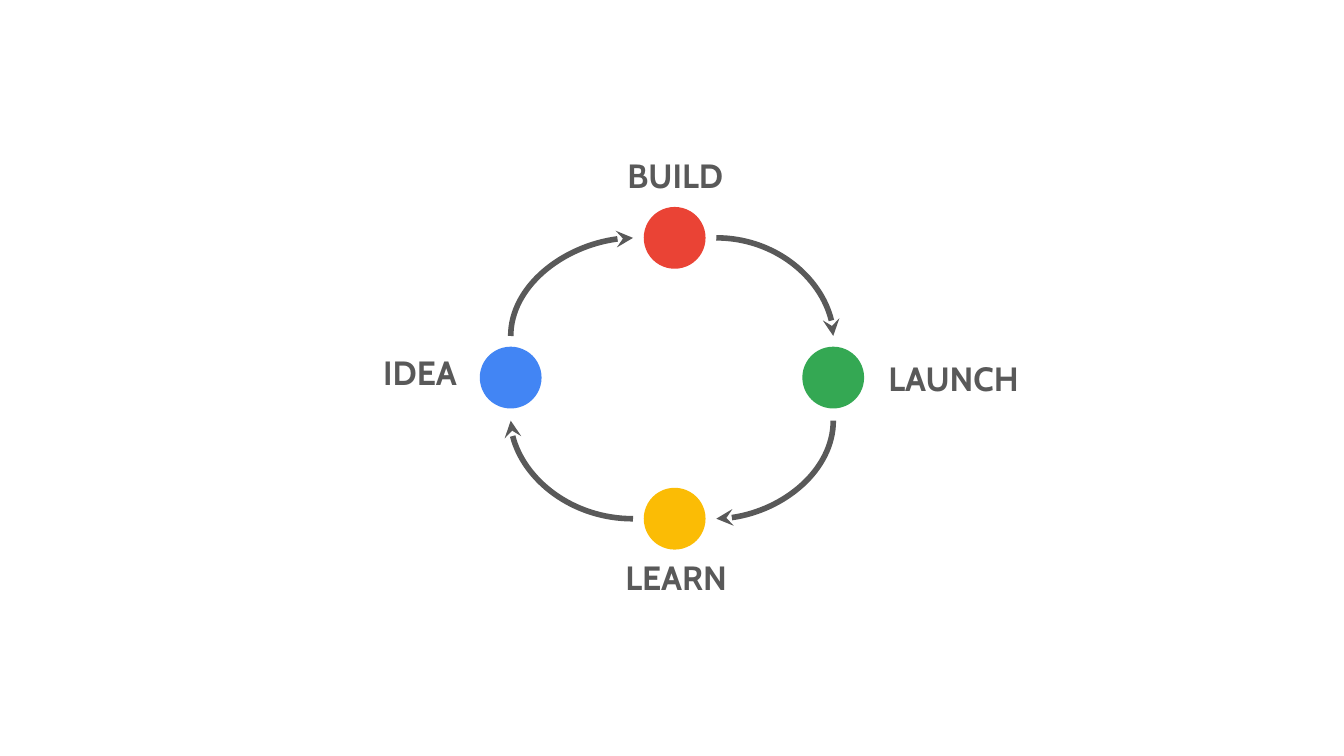
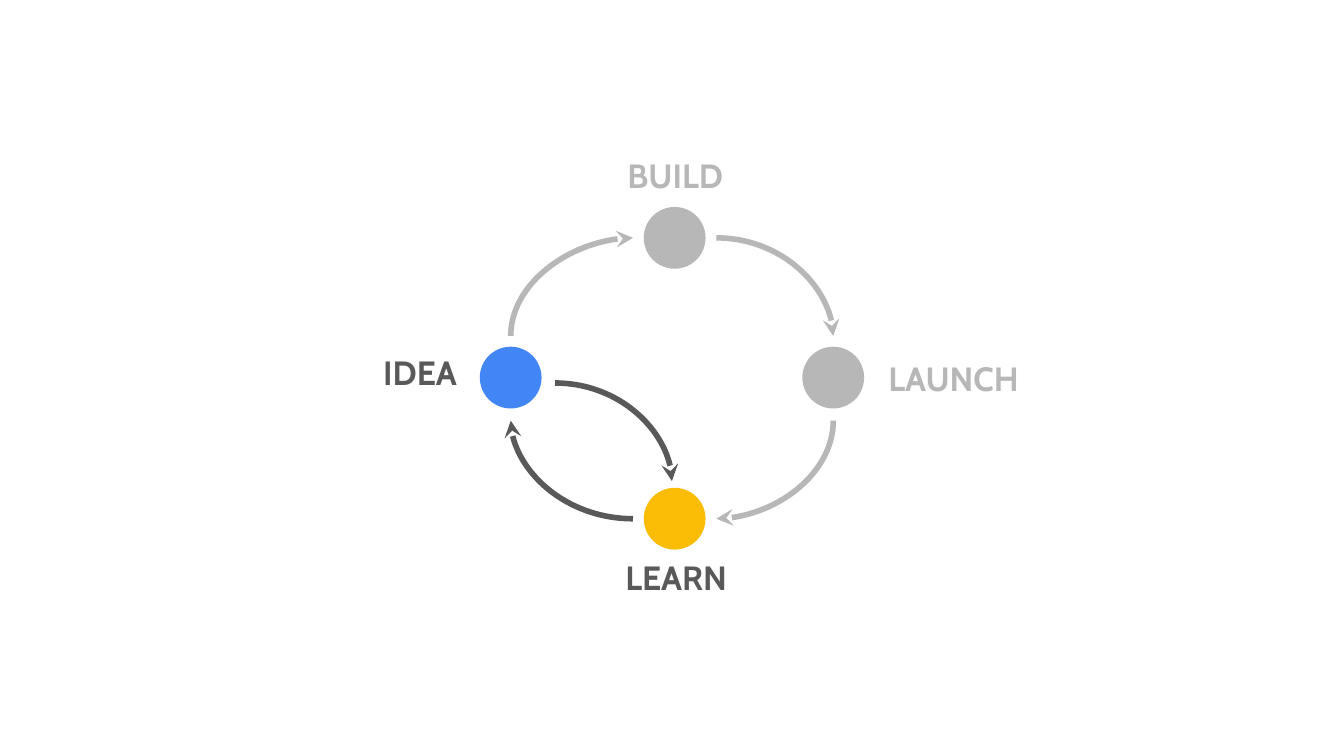
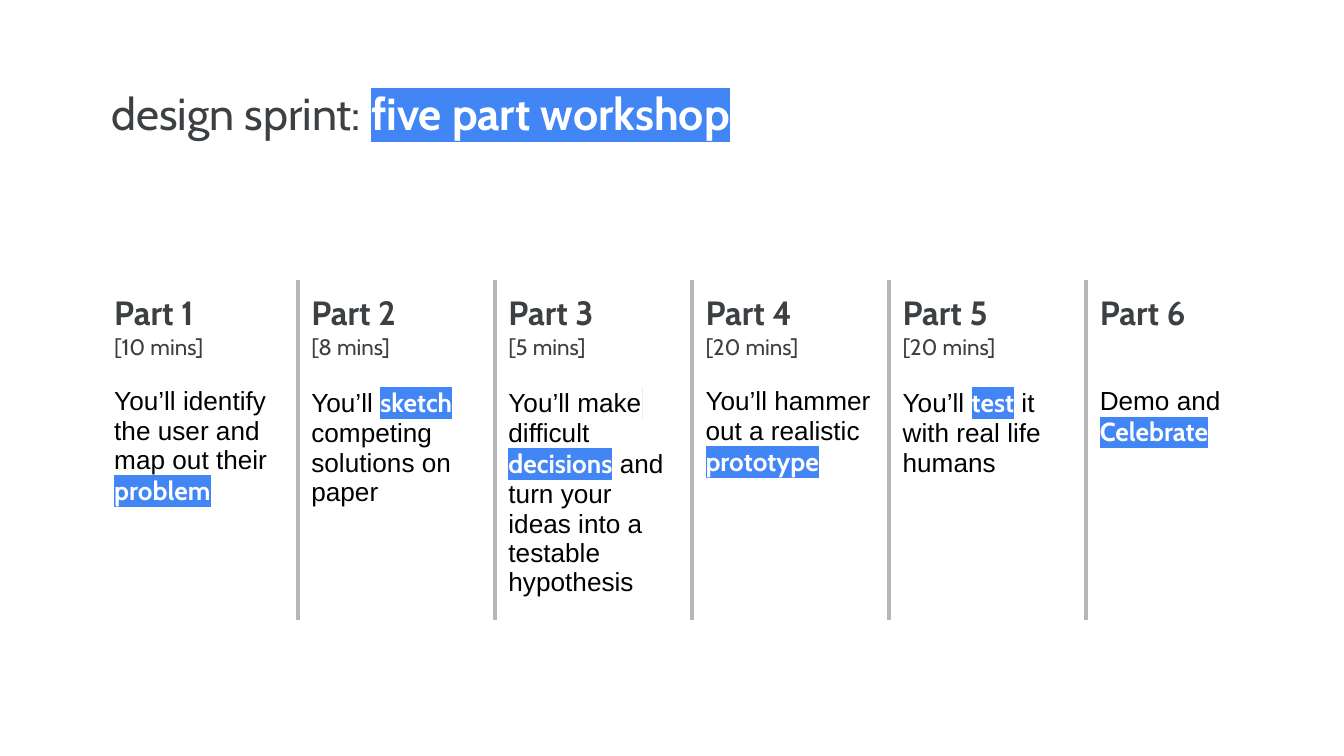
from dataclasses import dataclass

from lxml import etree
from pptx import Presentation
from pptx import util as u
from pptx.dml.color import RGBColor
from pptx.enum import shapes, text
from pptx.oxml import ns


@dataclass(frozen=True)
class Theme:
    blue: str = "4285F4"
    red: str = "EA4335"
    yellow: str = "FBBC05"
    green: str = "34A853"
    grey: str = "595959"
    faded: str = "B7B7B7"
    ink: str = "3C4043"
    black: str = "000000"
    white: str = "FFFFFF"
    font: str = "Cabin"
    body_font: str = "Arial"
    title_size: int = 24
    label_size: int = 18
    body_size: int = 14
    time_size: int = 12
    arrow_width: float = 3
    rule_width: float = 2.25
    plain_table: str = "{2D5ABB26-0587-4C30-8999-92F81FD0307C}"


THEME = Theme()
DOT = 0.46
STAGES = {
    "BUILD": (THEME.red, (4.79, 1.54), (4.53, 1.15, 1.1)),
    "IDEA": (THEME.blue, (3.57, 2.58), (2.25, 2.62, 1.4)),
    "LEARN": (THEME.yellow, (4.79, 3.63), (4.26, 4.14, 1.4)),
    "LAUNCH": (THEME.green, (5.97, 2.58), (6.43, 2.66, 1.4)),
}
STEPS = [
    ("IDEA", "BUILD", (3.8, 2.5), (4.71, 1.77), 270),
    ("BUILD", "LAUNCH", (5.33, 1.77), (6.2, 2.5), 0),
    ("LAUNCH", "LEARN", (6.2, 3.13), (5.33, 3.86), 90),
    ("LEARN", "IDEA", (4.71, 3.86), (3.8, 3.13), 180),
]
PARTS = [
    ("[10 mins]", "You’ll identify the user and map out their *problem*"),
    ("[8 mins]", "You’ll *sketch* competing solutions on paper"),
    ("[5 mins]", "You’ll make* *difficult *decisions* and turn your ideas into a testable hypothesis"),
    ("[20 mins]", "You’ll hammer out a realistic *prototype*"),
    ("[20 mins]", "You’ll *test* it with real life humans"),
    ("", "Demo and *Celebrate*"),
]


class Deck:
    """Draws styled elements on the current slide."""

    def __init__(self, theme):
        self.theme = theme
        self.prs = Presentation()
        self.prs.slide_width, self.prs.slide_height = u.Inches(10), u.Inches(10 * 9 / 16)
        self.slide = None

    def new_slide(self):
        self.slide = self.prs.slides.add_slide(self.prs.slide_layouts[6])

    def style(self, font, size, color, bold=False, name=None):
        font.size, font.bold = u.Pt(size), bold
        font.color.rgb = RGBColor.from_string(color)
        font.name = name or self.theme.font

    def marked_text(self, paragraph, wording, size, color, name=None):
        for index, part in enumerate(wording.split("*")):
            if not part:
                continue
            run = paragraph.add_run()
            run.text = part
            if index % 2:
                self.style(run.font, size, self.theme.white, True)
                highlight = etree.Element(ns.qn("a:highlight"))
                etree.SubElement(highlight, ns.qn("a:srgbClr"), val=self.theme.blue)
                run.font.fill._xPr.find(ns.qn("a:solidFill")).addnext(highlight)
            else:
                self.style(run.font, size, color, name=name)

    def text_box(self, left, top, width, height=0.39):
        frame = self.slide.shapes.add_textbox(*map(u.Inches, (left, top, width, height))).text_frame
        frame.word_wrap = True
        frame.margin_left = frame.margin_top = frame.margin_bottom = 0
        frame.margin_right = u.Inches(0.25)
        return frame.paragraphs[0]

    def title(self, wording):
        self.marked_text(self.text_box(0.83, 0.64, 6.39), wording, self.theme.title_size, self.theme.ink)

    def label(self, wording, place, color):
        paragraph = self.text_box(*place)
        paragraph.text = wording
        paragraph.alignment = text.PP_ALIGN.RIGHT
        self.style(paragraph.font, self.theme.label_size, color, True)

    def dot(self, place, color):
        dot = self.slide.shapes.add_shape(shapes.MSO_SHAPE.OVAL, *map(u.Inches, (*place, DOT, DOT)))
        dot.shadow.inherit = False
        dot.fill.solid()
        dot.fill.fore_color.rgb = RGBColor.from_string(color)
        dot.line.fill.background()

    def arc(self, start, end, turn, color):
        (x1, y1), (x2, y2) = start, end
        width, height = abs(x2 - x1), abs(y2 - y1)
        if turn % 180:
            width, height = height, width
        left, top = (x1 + x2 - width) / 2, (y1 + y2 - height) / 2
        arc = self.slide.shapes.add_connector(
            shapes.MSO_CONNECTOR.CURVE, *map(u.Inches, (left, top, left + width, top + height)))
        arc.line.color.rgb = RGBColor.from_string(color)
        arc.line.width = u.Pt(self.theme.arrow_width)
        props = arc._element.spPr
        props.find(ns.qn("a:prstGeom")).set("prst", "curvedConnector2")
        props.find(ns.qn("a:xfrm")).set("rot", str(turn * 60000))
        etree.SubElement(props.find(ns.qn("a:ln")), ns.qn("a:tailEnd"), type="stealth")
        etree.SubElement(props, ns.qn("a:effectLst"))

    def cycle(self, active):
        for name, (color, place, _) in STAGES.items():
            self.dot(place, color if name in active else self.theme.faded)
        for origin, target, start, end, turn in STEPS:
            lit = origin in active and target in active
            self.arc(start, end, turn, self.theme.grey if lit else self.theme.faded)
        for name, (_, _, place) in STAGES.items():
            self.label(name, place, self.theme.grey if name in active else self.theme.faded)

    def cell(self, table, row, column):
        cell = table.cell(row, column)
        cell.margin_left = cell.margin_right = cell.margin_top = cell.margin_bottom = u.Inches(0.1)
        cell.fill.background()
        sides = [("a:lnL", column > 0), ("a:lnR", column < len(table.columns) - 1)]
        for position, (side, ruled) in enumerate(sides):
            border = etree.Element(ns.qn(side), w=str(u.Pt(self.theme.rule_width)))
            paint = etree.SubElement(border, ns.qn("a:solidFill" if ruled else "a:noFill"))
            if ruled:
                etree.SubElement(paint, ns.qn("a:srgbClr"), val=self.theme.faded)
            cell._tc.get_or_add_tcPr().insert(position, border)
        return cell.text_frame

    def schedule(self, parts, left, top, width, row_heights):
        table = self.slide.shapes.add_table(len(row_heights), len(parts), *map(
            u.Inches, (left, top, width, sum(row_heights)))).table
        table.first_row = table.horz_banding = False
        table._tbl.tblPr.find(ns.qn("a:tableStyleId")).text = self.theme.plain_table
        for row, height in zip(table.rows, row_heights):
            row.height = u.Inches(height)
        for column, (minutes, task) in enumerate(parts):
            heading = self.cell(table, 0, column)
            heading.text = f"Part {column + 1}"
            self.style(heading.paragraphs[0].font, self.theme.label_size, self.theme.ink, True)
            if minutes:
                duration = heading.add_paragraph()
                duration.text = minutes
                self.style(duration.font, self.theme.time_size, self.theme.ink)
            self.marked_text(self.cell(table, 1, column).paragraphs[0], task,
                             self.theme.body_size, self.theme.black, self.theme.body_font)


def main():
    deck = Deck(THEME)

    deck.new_slide()
    deck.cycle(set(STAGES))

    deck.new_slide()
    deck.cycle({"IDEA", "LEARN"})
    deck.arc((4.13, 2.85), (5, 3.58), 0, THEME.grey)

    deck.new_slide()
    deck.title("design sprint: *five part workshop*")
    deck.schedule(PARTS, 0.75, 2.08, 8.8, (0.48, 1.53))

    deck.prs.save("out.pptx")


if __name__ == "__main__":
    main()
